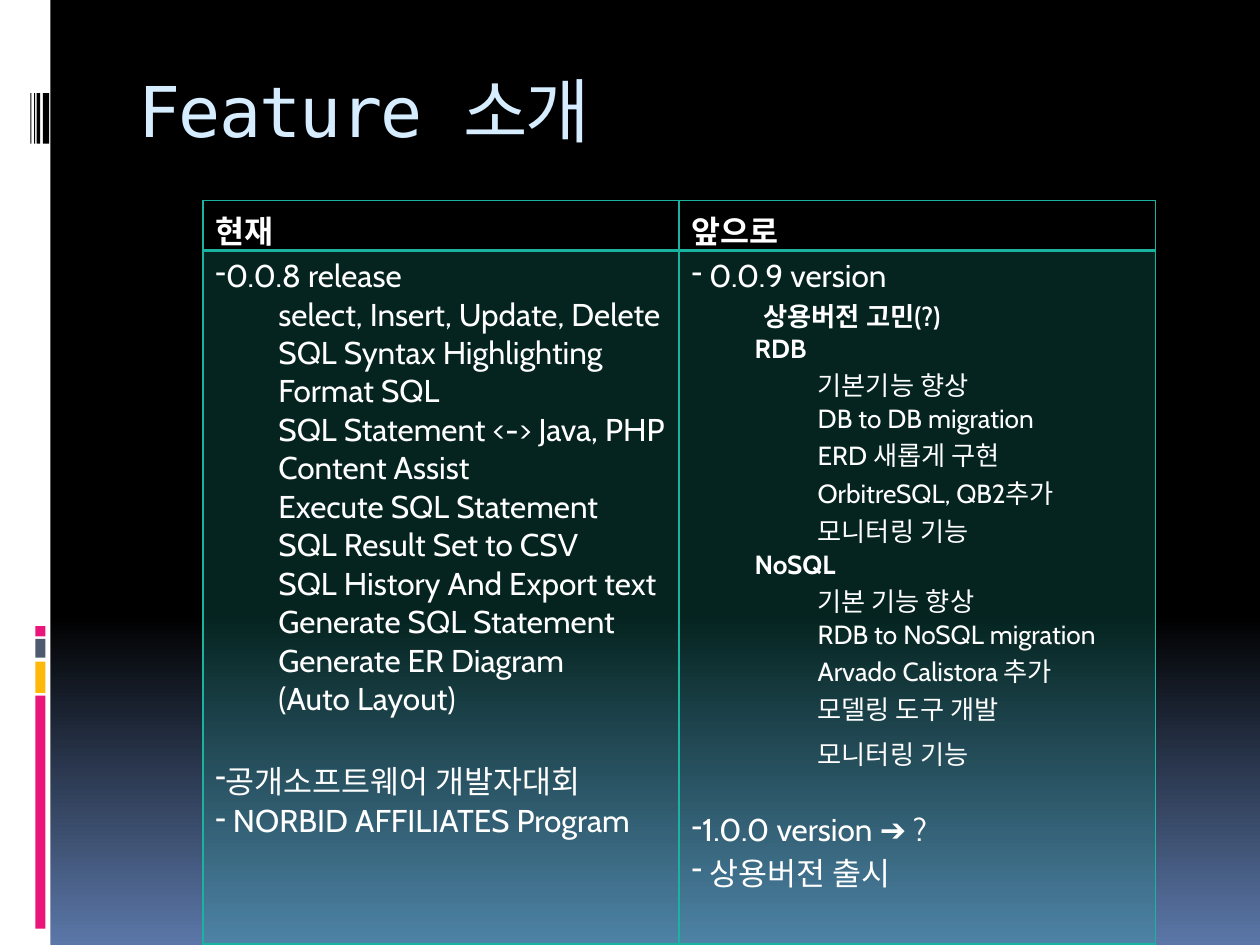
"""Build the feature slide: a side stripe, a title and a two-column table."""
from lxml import etree
from pptx import Presentation
from pptx.dml.color import RGBColor
from pptx.enum.shapes import MSO_SHAPE
from pptx.enum.text import MSO_ANCHOR
from pptx.oxml.ns import qn
from pptx.util import Inches, Pt

RECT = MSO_SHAPE.RECTANGLE
TOP = MSO_ANCHOR.TOP
BLACK, WHITE, PINK, TEAL = "000000", "FFFFFF", "EA157A", "1AB39F"

BARS = [
    (0, 0, 0.4, 7.5, WHITE),
    (0.28, 5.52, 0.08, 1.85, PINK),
    (0.28, 5.25, 0.08, 0.25, "FEB80A"),
    (0.28, 5.07, 0.08, 0.15, "4E5B6F"),
    (0.28, 4.97, 0.08, 0.08, PINK),
    (0.34, 0.74, 0.05, 0.4, BLACK),
    (0.29, 0.74, 0.03, 0.4, BLACK),
    (0.27, 0.74, 0.01, 0.4, BLACK),
    (0.24, 0.74, 0.01, 0.4, BLACK),
]
STYLES = {
    "head": dict(bold=True),
    "dash": dict(dash=True),
    "gap": dict(dash=True, before=22),
    "item": dict(level=1, left=0.5),
    "note": dict(size=15, bold=True, left=0.57),
    "group": dict(size=15, bold=True, level=1, left=0.5),
    "sub": dict(size=15, level=2, left=1),
    "last": dict(size=15, level=2, left=1, before=4),
}
NOW = [
    ("dash", ["0.0.8 release"]),
    ("item", [
        "select, Insert, Update, Delete", "SQL Syntax Highlighting",
        "Format SQL", "SQL Statement <-> Java, PHP", "Content Assist",
        "Execute SQL Statement", "SQL Result Set to CSV",
        "SQL History And Export text", "Generate SQL Statement",
        "Generate ER Diagram", "(Auto Layout)",
    ]),
    ("gap", ["공개소프트웨어 개발자대회"]),
    ("dash", [" NORBID AFFILIATES Program"]),
]
NEXT = [
    ("dash", [" 0.0.9 version"]),
    ("note", ["상용버전 고민(?)"]),
    ("group", ["RDB"]),
    ("sub", ["기본기능 향상", "DB to DB migration", "ERD 새롭게 구현",
             "OrbitreSQL, QB2추가", "모니터링 기능"]),
    ("group", ["NoSQL"]),
    ("sub", ["기본 기능 향상", "RDB to NoSQL migration",
             "Arvado Calistora 추가", "모델링 도구 개발"]),
    ("last", ["모니터링 기능"]),
    ("gap", ["1.0.0 version ➔ ?"]),
    ("dash", [" 상용버전 출시"]),
]
GRID = [
    [[("head", ["현재"])], [("head", ["앞으로"])]],
    [NOW, NEXT],
]
COLS, ROWS = [3.78, 3.78], [0.37, 5.5]


def hue(code):
    return RGBColor.from_string(code)


def write(para, text, size=18, bold=False, color=WHITE, font="Cabin",
          level=0, left=0, before=0, dash=False, track=0):
    run = para.add_run()
    run.text = text
    run.font.size, run.font.bold, run.font.name = Pt(size), bold, font
    run.font.color.rgb = hue(color)
    if track:
        run.font._element.set("spc", str(track * 100))
    para.level = level
    para.space_before = Pt(before)
    props = para._p.get_or_add_pPr()
    props.set("marL", str(Inches(left)))
    props.set("indent", "0")
    if dash:
        etree.SubElement(props, qn("a:buChar")).set("char", "-")


def edge(cell, widths):
    props = cell._tc.get_or_add_tcPr()
    for side, width in zip("LRTB", widths):
        line = etree.SubElement(props, qn("a:ln" + side), w=str(Pt(width)))
        fill = etree.SubElement(line, qn("a:solidFill"))
        etree.SubElement(fill, qn("a:srgbClr"), val=TEAL)


def tint(cell, code, share):
    cell.fill.solid()
    cell.fill.fore_color.rgb = hue(code)
    clr = cell._tc.tcPr.find(qn("a:solidFill")).find(qn("a:srgbClr"))
    etree.SubElement(clr, qn("a:alpha"), val=str(share * 1000))


def fill_cell(cell, groups):
    frame = cell.text_frame
    lines = [(kind, text) for kind, texts in groups for text in texts]
    for i, (kind, text) in enumerate(lines):
        para = frame.add_paragraph() if i else frame.paragraphs[0]
        write(para, text, **STYLES[kind])


def add_grid(slide):
    area = map(Inches, (1.61, 1.59, sum(COLS), sum(ROWS)))
    table = slide.shapes.add_table(len(ROWS), len(COLS), *area).table
    table.first_row = table.horz_banding = False
    for col, width in zip(table.columns, COLS):
        col.width = Inches(width)
    for r, row in enumerate(GRID):
        table.rows[r].height = Inches(ROWS[r])
        for c, groups in enumerate(row):
            cell = table.cell(r, c)
            fill_cell(cell, groups)
            edge(cell, (1, 1, 1, 2) if r == 0 else (1, 1, 2, 1))
            if r:
                tint(cell, TEAL, 20)
            else:
                cell.fill.background()


def add_back(slide):
    fill = slide.background.fill
    fill.gradient()
    fill.gradient_angle = 270
    stops = [(0.65, BLACK), (1, "5B77A8")]
    for stop, (place, code) in zip(fill.gradient_stops, stops):
        stop.position = place
        stop.color.rgb = hue(code)


def main():
    deck = Presentation()
    deck.slide_width, deck.slide_height = Inches(10), Inches(7.5)
    slide = deck.slides.add_slide(deck.slide_layouts[6])
    add_back(slide)
    for *area, code in BARS:
        bar = slide.shapes.add_shape(RECT, *map(Inches, area))
        bar.shadow.inherit = False
        bar.fill.solid()
        bar.fill.fore_color.rgb = hue(code)
        bar.line.fill.background()
    title = slide.shapes.add_textbox(*map(Inches, (1, 0.56, 8.5, 1)))
    frame = title.text_frame
    frame.word_wrap, frame.vertical_anchor = True, TOP
    para = frame.paragraphs[0]
    para.line_spacing = 0.9
    write(para, "Feature 소개", size=40, color="D6ECFF",
          font="DejaVu Sans Mono", track=-1)
    add_grid(slide)
    deck.save("out.pptx")


if __name__ == "__main__":
    main()
